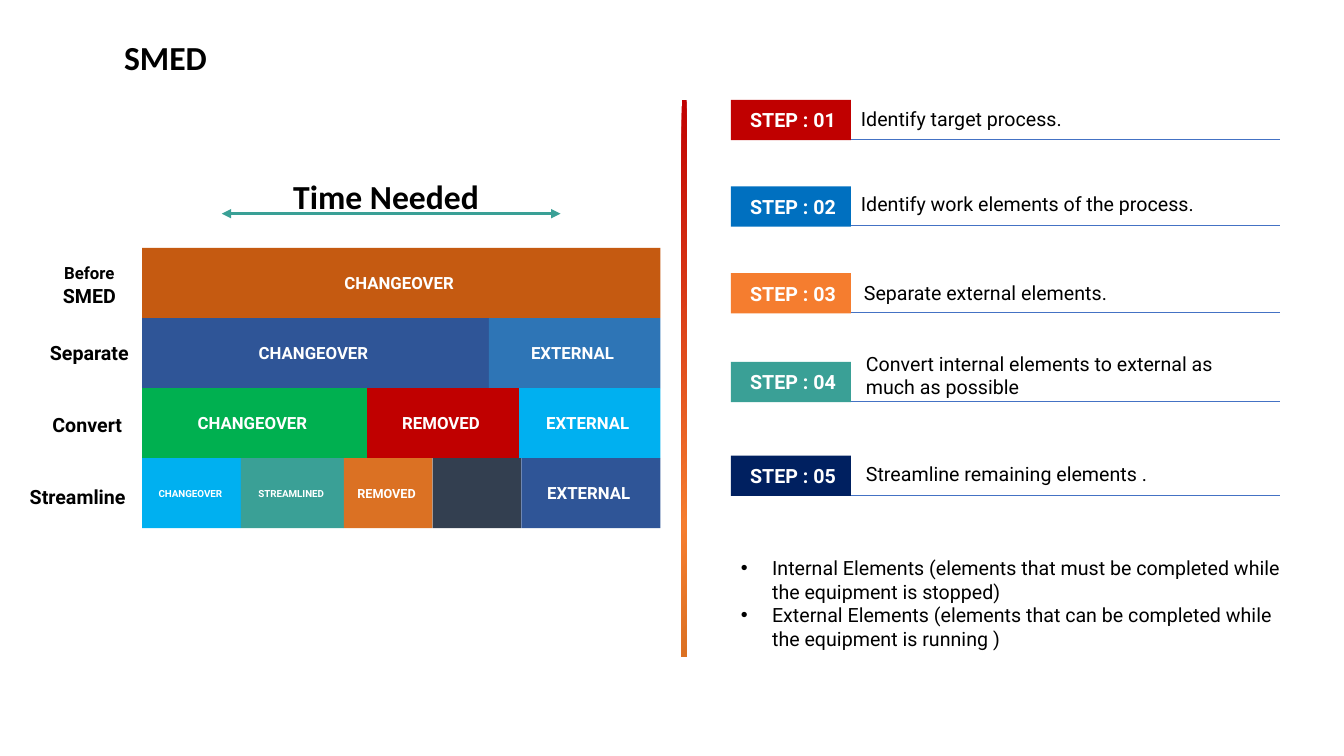
"""Builds the SMED slide: shrinking changeover time beside five steps."""
from lxml import etree
from pptx import Presentation, util as u
from pptx.dml.color import RGBColor
from pptx.enum import shapes, text
from pptx.oxml import parse_xml
from pptx.oxml.ns import qn

BLACK = RGBColor(0x00, 0x00, 0x00)
WHITE = RGBColor(0xFF, 0xFF, 0xFF)
RED = RGBColor(0xC0, 0x00, 0x00)
BLUE = RGBColor(0x00, 0x70, 0xC0)
ORANGE = RGBColor(0xF5, 0x7D, 0x2F)
TEAL = RGBColor(0x3A, 0xA0, 0x96)
NAVY = RGBColor(0x00, 0x20, 0x60)
RUST = RGBColor(0xC5, 0x5A, 0x11)
INDIGO = RGBColor(0x2F, 0x55, 0x97)
STEEL = RGBColor(0x2E, 0x75, 0xB6)
GREEN = RGBColor(0x00, 0xB0, 0x50)
SKY = RGBColor(0x00, 0xB0, 0xF0)
AMBER = RGBColor(0xDB, 0x71, 0x23)
SLATE = RGBColor(0x33, 0x3F, 0x50)
RULE = RGBColor(0x44, 0x72, 0xC4)

BAND_LEFT, BAND_TOP, BAND_HEIGHT = 1.41, 2.46, 0.695
BANDS = [
    [("CHANGEOVER ", 5.14, RUST, 12)],
    [("CHANGEOVER ", 3.44, INDIGO, 12), ("EXTERNAL ", 1.7, STEEL, 12)],
    [("CHANGEOVER ", 2.23, GREEN, 12), ("REMOVED ", 1.51, RED, 12),
     ("EXTERNAL ", 1.4, SKY, 12)],
    [("CHANGEOVER ", 0.98, SKY, 7), ("STREAMLINED ", 1.02, TEAL, 7),
     ("REMOVED ", 0.88, AMBER, 9), ("", 0.88, SLATE, 12),
     ("EXTERNAL ", 1.38, INDIGO, 12)],
]
BAND_LABELS = [
    ([[("Before", 12), (" ", 14)], "SMED "], (0.32, 2.53, 1.18, 0.57)),
    (["Separate "], (0.32, 3.33, 1.18, 0.34)),
    (["Convert "], (0.3, 4.05, 1.18, 0.34)),
    (["Streamline "], (0.13, 4.76, 1.33, 0.34)),
]
STEP_LEFT, STEP_WIDTH, STEP_HEIGHT, RULE_RIGHT = 7.25, 1.19, 0.4, 12.7
STEPS = [
    ("Identify target process.", RED, 0.99, (8.44, 1.01, 4.16, 0.34)),
    ("Identify work elements of the process.", BLUE, 1.85, (8.44, 1.85, 4.16, 0.34)),
    ("Separate external elements.", ORANGE, 2.71, (8.47, 2.74, 4.16, 0.34)),
    ("Convert internal elements to external as much as possible", TEAL, 3.59,
     (8.49, 3.44, 4.16, 0.57)),
    ("Streamline remaining elements .", NAVY, 4.52, (8.49, 4.53, 4.16, 0.34)),
]
DEFINITIONS = [
    "Internal Elements (elements that must be completed while the equipment is stopped)",
    "External Elements (elements that can be completed while the equipment is running )",
]
DIVIDER_STOPS = [(0, RED), (76, ORANGE), (100, AMBER)]


def write(shape, paragraphs, size=14, color=BLACK, bold=False, font="Roboto",
          align=text.PP_ALIGN.LEFT, anchor=text.MSO_ANCHOR.TOP, wrap=True,
          bullet=False, margin_left=0.1):
    """Fill a shape with paragraphs, each a string or a list of sized runs."""
    frame = shape.text_frame
    frame.word_wrap = wrap
    frame.auto_size = text.MSO_AUTO_SIZE.NONE
    frame.vertical_anchor = anchor
    frame.margin_left = u.Inches(margin_left)
    for index, content in enumerate(paragraphs):
        paragraph = frame.add_paragraph() if index else frame.paragraphs[0]
        paragraph.alignment = align
        if bullet:
            properties = paragraph._p.get_or_add_pPr()
            properties.set("marL", str(u.Inches(0.31)))
            properties.set("indent", str(u.Inches(-0.31)))
            etree.SubElement(properties, qn("a:buFont")).set("typeface", "Arial")
            etree.SubElement(properties, qn("a:buChar")).set("char", "•")
        for words, run_size in [(content, size)] if isinstance(content, str) else content:
            run = paragraph.add_run()
            run.text = words
            run.font.name = font
            run.font.size = u.Pt(run_size)
            run.font.bold = bold
            run.font.color.rgb = color


def add_text(slide, box, paragraphs, **style):
    """Add a text box."""
    write(slide.shapes.add_textbox(*map(u.Inches, box)), paragraphs, **style)


def add_block(slide, box, color=None):
    """Add a plain rectangle."""
    block = slide.shapes.add_shape(shapes.MSO_SHAPE.RECTANGLE, *map(u.Inches, box))
    block.shadow.inherit = False
    block.line.fill.background()
    if color is not None:
        block.fill.solid()
        block.fill.fore_color.rgb = color
    return block


def add_line(slide, ends, color, width, arrows=False):
    """Add a straight line, with an arrowhead at both ends if asked."""
    line = slide.shapes.add_connector(shapes.MSO_CONNECTOR.STRAIGHT, *map(u.Inches, ends))
    line.line.color.rgb = color
    line.line.width = u.Pt(width)
    if arrows:
        for end in ("a:headEnd", "a:tailEnd"):
            etree.SubElement(line.line._get_or_add_ln(), qn(end)).set("type", "triangle")
    etree.SubElement(line._element.spPr, qn("a:effectLst"))


def add_divider(slide):
    """Add the graded vertical bar between the two halves."""
    divider = add_block(slide, (6.76, 0.99, 0.05, 5.52))
    stops = "".join(f'<a:gs pos="{share * 1000}"><a:srgbClr val="{color}"/></a:gs>'
                    for share, color in DIVIDER_STOPS)
    gradient = parse_xml(
        '<a:gradFill xmlns:a="http://schemas.openxmlformats.org/drawingml/2006/main">'
        f'<a:gsLst>{stops}</a:gsLst><a:lin ang="2700000" scaled="0"/></a:gradFill>')
    divider._element.spPr.find(qn("a:prstGeom")).addnext(gradient)


def add_bands(slide):
    """Add the time chart with its heading and row labels."""
    middle, center = text.MSO_ANCHOR.MIDDLE, text.PP_ALIGN.CENTER
    add_line(slide, (2.2, 2.12, 5.56, 2.12), TEAL, 2.25, arrows=True)
    add_text(slide, (2.81, 1.7, 2.14, 0.5), ["Time Needed"], size=24, bold=True,
             font="Calibri", wrap=False)
    for row, band in enumerate(BANDS):
        left = BAND_LEFT
        for words, width, color, size in band:
            block = add_block(
                slide, (left, BAND_TOP + row * BAND_HEIGHT, width, BAND_HEIGHT), color)
            if words:
                write(block, [words], size=size, color=WHITE, bold=True,
                      align=center, anchor=middle)
            left += width
    for paragraphs, box in BAND_LABELS:
        add_text(slide, box, paragraphs, bold=True, align=center)


def add_steps(slide):
    """Add the numbered steps, their rules and the definitions."""
    for number, (words, color, top, box) in enumerate(STEPS, 1):
        tag = add_block(slide, (STEP_LEFT, top, STEP_WIDTH, STEP_HEIGHT), color)
        write(tag, [f"STEP : {number:02}"], color=WHITE, bold=True, wrap=False,
              anchor=text.MSO_ANCHOR.MIDDLE, margin_left=0.19)
        base = top + STEP_HEIGHT - 0.01
        add_line(slide, (STEP_LEFT + STEP_WIDTH, base, RULE_RIGHT, base), RULE, 0.5)
        add_text(slide, box, [words])
    add_text(slide, (STEP_LEFT, 5.47, 5.76, 1.04), DEFINITIONS, bullet=True)


def main():
    """Build and save the slide."""
    presentation = Presentation()
    presentation.slide_width = u.Inches(13.33)
    presentation.slide_height = u.Inches(7.5)
    slide = presentation.slides.add_slide(presentation.slide_layouts[5])
    title = slide.shapes.title
    title.left, title.top, title.width, title.height = map(u.Inches, (1.13, 0.32, 1.03, 0.5))
    write(title, ["SMED"], size=24, bold=True, font="Calibri", wrap=False)
    add_bands(slide)
    add_steps(slide)
    add_divider(slide)
    presentation.save("out.pptx")


if __name__ == "__main__":
    main()
